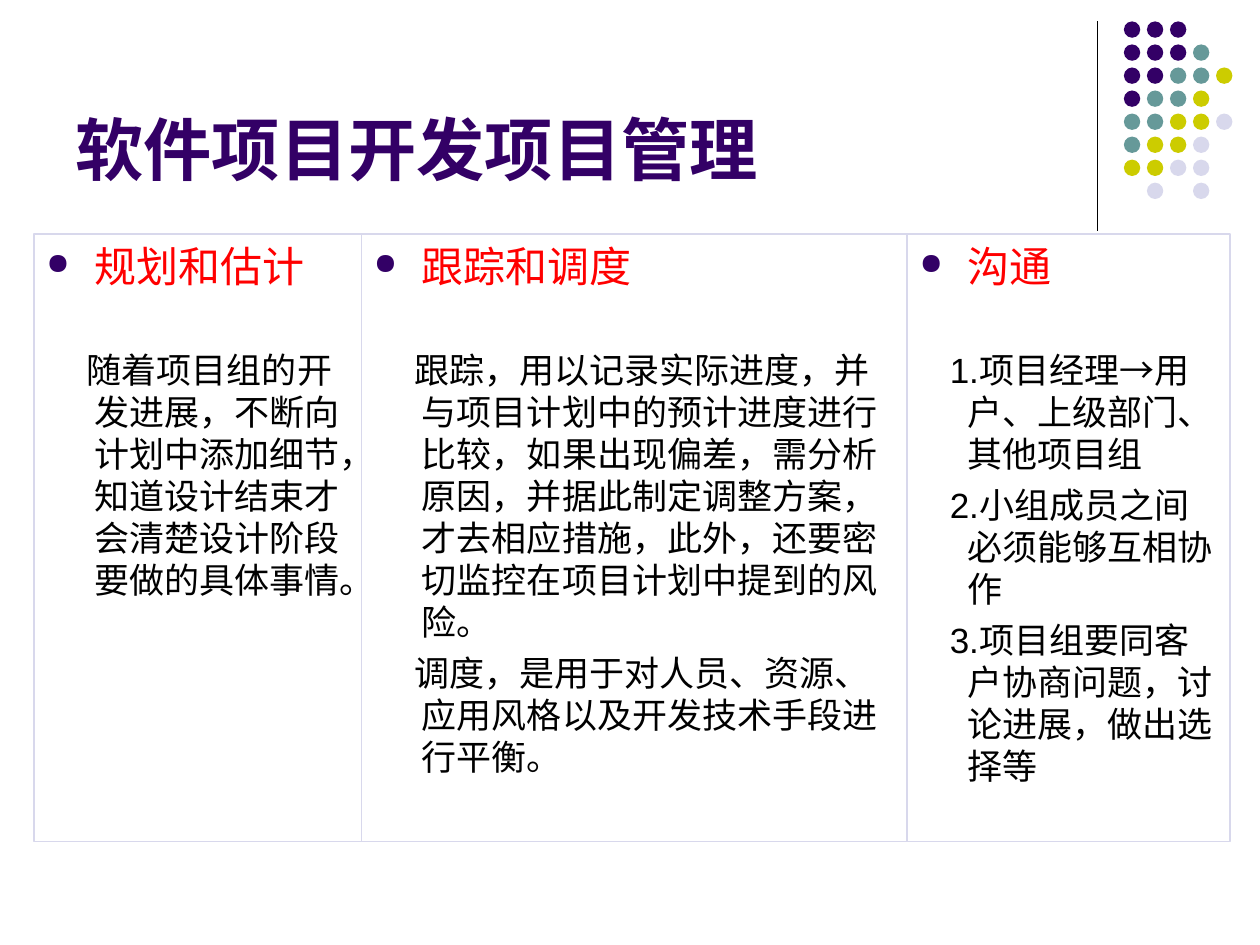
from dataclasses import dataclass

from lxml.etree import SubElement
from pptx import Presentation
from pptx.dml.color import RGBColor
from pptx.enum.shapes import MSO_CONNECTOR, MSO_SHAPE
from pptx.enum.text import MSO_ANCHOR, PP_ALIGN
from pptx.oxml.ns import qn
from pptx.util import Inches, Pt


@dataclass(frozen=True)
class Theme:
    font: str = "Arial"
    plum: str = "330066"
    teal: str = "669999"
    lime: str = "CCCC00"
    pale: str = "D8D8EC"
    red: str = "FF0000"
    black: str = "000000"
    title: int = 39
    head: int = 24
    body: int = 20


THEME = Theme()
TITLE = "软件项目开发项目管理"
DOTS = ["PPP", "PPPT", "PPTTL", "PTTL", "TTLLG", "TLLG", "LLGG", " G G"]
HUES = {"P": THEME.plum, "T": THEME.teal, "L": THEME.lime, "G": THEME.pale}
PANELS = [
    (2.6, -0.06, "规划和估计", [
        "随着项目组的开发进展，不断向计划中添加细节，知道设计结束才会清楚设计阶段要做的具体事情。",
    ]),
    (4.33, -0.06, "跟踪和调度", [
        "跟踪，用以记录实际进度，并与项目计划中的预计进度进行比较，如果出现偏差，需分析原因，"
        "并据此制定调整方案，才去相应措施，此外，还要密切监控在项目计划中提到的风险。",
        "调度，是用于对人员、资源、应用风格以及开发技术手段进行平衡。",
    ]),
    (2.56, -0.14, "沟通", [
        "1.项目经理→用户、上级部门、其他项目组",
        "2.小组成员之间必须能够互相协作",
        "3.项目组要同客户协商问题，讨论进展，做出选择等",
    ]),
]


def rgb(hue):
    return RGBColor.from_string(hue)


def add_run(para, text, size, hue, bold=False):
    run = para.add_run()
    run.text = text
    font = run.font
    font.name, font.size, font.bold = THEME.font, Pt(size), bold
    font.color.rgb = rgb(hue)


def indent(para, first):
    props = para._p.get_or_add_pPr()
    props.set("marL", str(Inches(0.38)))
    props.set("indent", str(Inches(first)))
    return props


def add_mark(props):
    hue = SubElement(props, qn("a:buClr"))
    SubElement(hue, qn("a:srgbClr"), val=THEME.plum)
    SubElement(props, qn("a:buSzPct"), val="70000")
    SubElement(props, qn("a:buChar"), char="●")


def add_rule(slide):
    rule = slide.shapes.add_connector(
        MSO_CONNECTOR.STRAIGHT, Inches(8.71), Inches(0.17), Inches(8.71), Inches(1.83))
    rule.line.color.rgb = rgb(THEME.black)
    rule.line.width = Pt(0.75)
    SubElement(rule._element.spPr, qn("a:effectLst"))


def add_dots(slide):
    step, size = 1.28 / 7, Inches(0.13)
    for row, keys in enumerate(DOTS):
        for col, key in enumerate(keys):
            if key == " ":
                continue
            dot = slide.shapes.add_shape(
                MSO_SHAPE.OVAL, Inches(8.92 + col * step), Inches(0.17 + row * step), size, size)
            dot.shadow.inherit = False
            dot.fill.solid()
            dot.fill.fore_color.rgb = rgb(HUES[key])
            dot.line.fill.background()


def add_title(slide):
    box = slide.shapes.add_textbox(Inches(0.5), Inches(0.13), Inches(8.25), Inches(1.42))
    frame = box.text_frame
    frame.word_wrap = True
    frame.vertical_anchor = MSO_ANCHOR.BOTTOM
    add_run(frame.paragraphs[0], TITLE, THEME.title, THEME.plum, True)


def add_panel(slide, left, width, first, head, lines):
    box = slide.shapes.add_shape(
        MSO_SHAPE.RECTANGLE, Inches(left), Inches(1.86), Inches(width), Inches(4.82))
    box.shadow.inherit = False
    box.fill.background()
    box.line.color.rgb = rgb(THEME.pale)
    box.line.width = Pt(1)
    frame = box.text_frame
    frame.word_wrap = True
    frame.vertical_anchor = MSO_ANCHOR.TOP
    para = frame.paragraphs[0]
    para.alignment = PP_ALIGN.LEFT
    add_mark(indent(para, -0.38))
    add_run(para, head, THEME.head, THEME.red)
    for place, line in enumerate(lines):
        para = frame.add_paragraph()
        para.alignment = PP_ALIGN.LEFT
        para.space_before = Pt(5 if place else 33)
        indent(para, first)
        add_run(para, line, THEME.body, THEME.black)


def main():
    deck = Presentation()
    deck.slide_width, deck.slide_height = Inches(10), Inches(7.5)
    slide = deck.slides.add_slide(deck.slide_layouts[6])
    add_rule(slide)
    add_dots(slide)
    add_title(slide)
    left = 0.27
    for width, first, head, lines in PANELS:
        add_panel(slide, left, width, first, head, lines)
        left += width
    deck.save("out.pptx")


if __name__ == "__main__":
    main()
